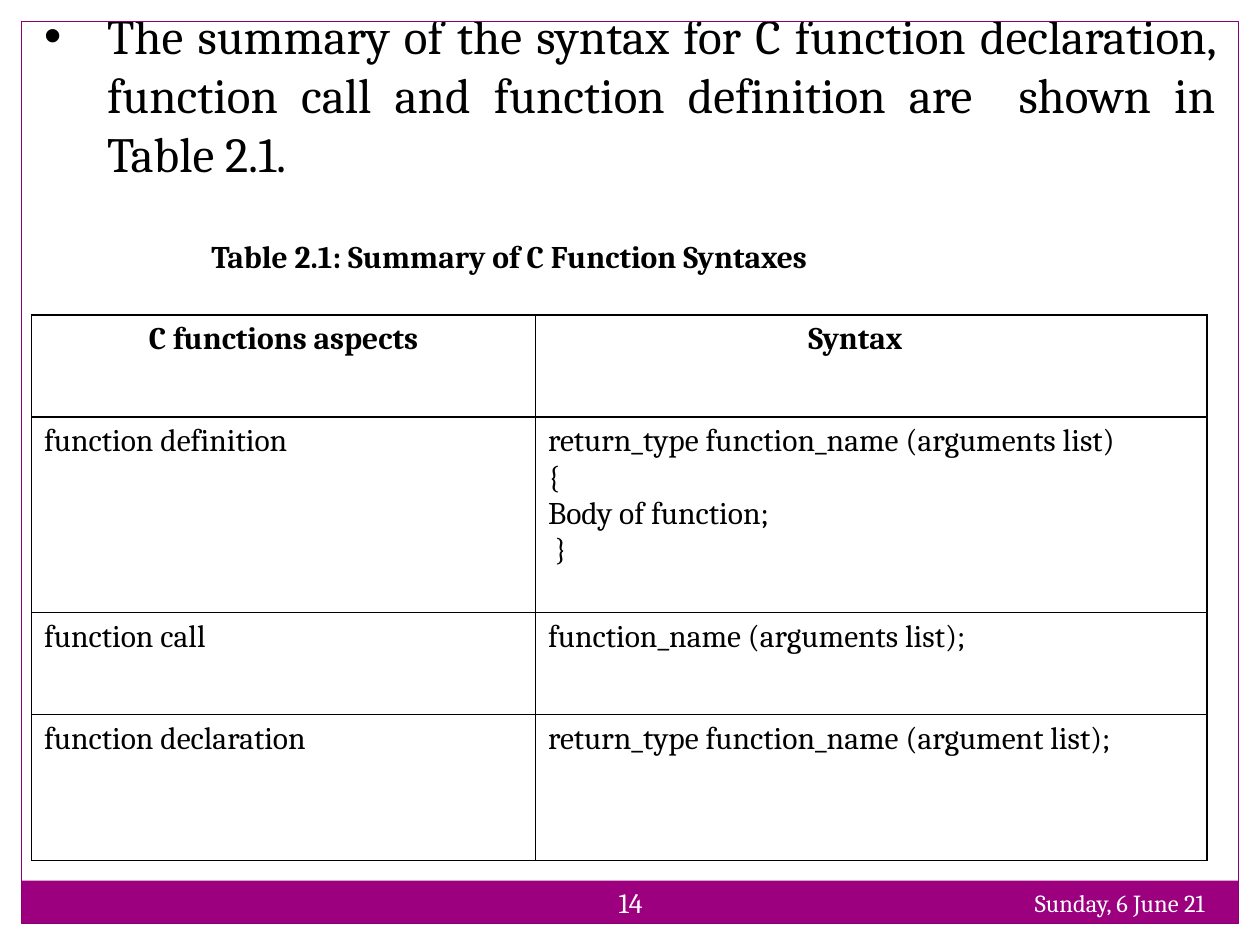
"""Build the slide that sums up C function syntax."""
import pptx
import pptx.util
import pptx.dml.color
import pptx.enum.shapes
import pptx.enum.text
import pptx.oxml
import pptx.oxml.ns

Inches = pptx.util.Inches
Pt = pptx.util.Pt
RGBColor = pptx.dml.color.RGBColor
Align = pptx.enum.text.PP_ALIGN
Anchor = pptx.enum.text.MSO_ANCHOR

BLACK = RGBColor(0, 0, 0)
WHITE = RGBColor(255, 255, 255)
PURPLE = RGBColor(0x9C, 0x00, 0x7F)
PLUM = RGBColor(0x8A, 0x00, 0x70)
FONT = "Cambria"
EDGE = 0.17
ROWS = [
    ("C functions aspects", "Syntax \t"),
    ("function definition",
     "return_type function_name (arguments list)\n{\nBody of function;\n }"),
    ("function call", "function_name (arguments list);"),
    ("function declaration", "return_type function_name (argument list);"),
]
WIDTHS = [4, 5.33]
HEIGHTS = [0.81, 1.55, 0.81, 1.16]


def style(frame, text, size, color=BLACK, bold=False, align=Align.LEFT):
    """Fill a text frame and format its runs."""
    frame.text = text
    for para in frame.paragraphs:
        para.alignment = align
        for run in para.runs:
            run.font.name = FONT
            run.font.size = Pt(size)
            run.font.bold = bold
            run.font.color.rgb = color


def place(shape, box):
    """Move and size a shape."""
    shape.left, shape.top, shape.width, shape.height = map(Inches, box)


def rect(slide, box, fill=None, line=None):
    """Add a plain rectangle."""
    kind = pptx.enum.shapes.MSO_SHAPE.RECTANGLE
    shape = slide.shapes.add_shape(kind, *map(Inches, box))
    shape.shadow.inherit = False
    if fill is None:
        shape.fill.background()
    else:
        shape.fill.solid()
        shape.fill.fore_color.rgb = fill
    if line is None:
        shape.line.fill.background()
    else:
        shape.line.color.rgb = line
        shape.line.width = Pt(0.75)


def border(slide):
    """Add the white margins, the footer bar and the outline."""
    for box in ((0, 0, 10, EDGE), (10 - EDGE, 0, EDGE, 7.5),
                (0, 0, EDGE, 7.5)):
        rect(slide, box, fill=WHITE)
    rect(slide, (EDGE, 6.99, 10 - 2 * EDGE, 0.34), fill=PURPLE)
    rect(slide, (EDGE, EDGE, 10 - 2 * EDGE, 7.5 - 2 * EDGE), line=PLUM)


def label(slide, box, text, size, anchor=Anchor.TOP, **look):
    """Add a wrapped text box."""
    frame = slide.shapes.add_textbox(*map(Inches, box)).text_frame
    frame.word_wrap = True
    frame.vertical_anchor = anchor
    style(frame, text, size, **look)


def head(slide, box, text):
    """Set the title as a justified bullet."""
    title = slide.shapes.title
    place(title, box)
    frame = title.text_frame
    frame.word_wrap = True
    frame.auto_size = pptx.enum.text.MSO_AUTO_SIZE.NONE
    frame.vertical_anchor = Anchor.BOTTOM
    style(frame, text, 28.1, align=Align.JUSTIFY)
    props = frame.paragraphs[0]._p.get_or_add_pPr()
    props.set("marL", str(Inches(0.5)))
    props.set("indent", str(-Inches(0.5)))
    space = pptx.oxml.ns.nsdecls("a")
    for tag in ('buFont %s typeface="Arial"', 'buChar %s char="•"'):
        props.append(pptx.oxml.parse_xml(f"<a:{tag % space}/>"))


def edge(cell):
    """Draw black borders around a cell."""
    props = cell._tc.get_or_add_tcPr()
    space = pptx.oxml.ns.nsdecls("a")
    for spot, side in enumerate("LRTB"):
        props.insert(spot, pptx.oxml.parse_xml(
            f'<a:ln{side} {space} w="{Pt(1)}"><a:solidFill>'
            f'<a:srgbClr val="{BLACK}"/></a:solidFill></a:ln{side}>'))


def grid(slide, left, top):
    """Add the syntax table."""
    table = slide.shapes.add_table(
        len(ROWS), len(WIDTHS), Inches(left), Inches(top),
        Inches(sum(WIDTHS)), Inches(sum(HEIGHTS))).table
    table.horz_banding = False
    for col, width in zip(table.columns, WIDTHS):
        col.width = Inches(width)
    for r, (row, height) in enumerate(zip(table.rows, HEIGHTS)):
        row.height = Inches(height)
        first = r == 0
        align = Align.CENTER if first else Align.LEFT
        for cell, text in zip(row.cells, ROWS[r]):
            style(cell.text_frame, text, 18, bold=first, align=align)
            cell.fill.background()
            edge(cell)


def main():
    """Build and save the slide."""
    deck = pptx.Presentation()
    deck.slide_width, deck.slide_height = Inches(10), Inches(7.5)
    slide = deck.slides.add_slide(deck.slide_layouts[5])
    border(slide)
    label(slide, (6.33, 7, 3.33, 0.4), "Sunday, 6 June 21", 14,
          color=WHITE, align=Align.RIGHT)
    label(slide, (4.67, 6.92, 0.67, 0.48), "14", 16, Anchor.MIDDLE,
          color=WHITE, align=Align.CENTER)
    head(slide, (0.25, 0.25, 9.5, 1.25),
         "The summary of the syntax for C function declaration, function "
         "call and function definition are  shown in Table 2.1.")
    grid(slide, 0.25, 2.5)
    label(slide, (1.58, 1.83, 7, 0.42),
          "Table 2.1: Summary of C Function Syntaxes", 18, bold=True)
    deck.save("out.pptx")


main()
